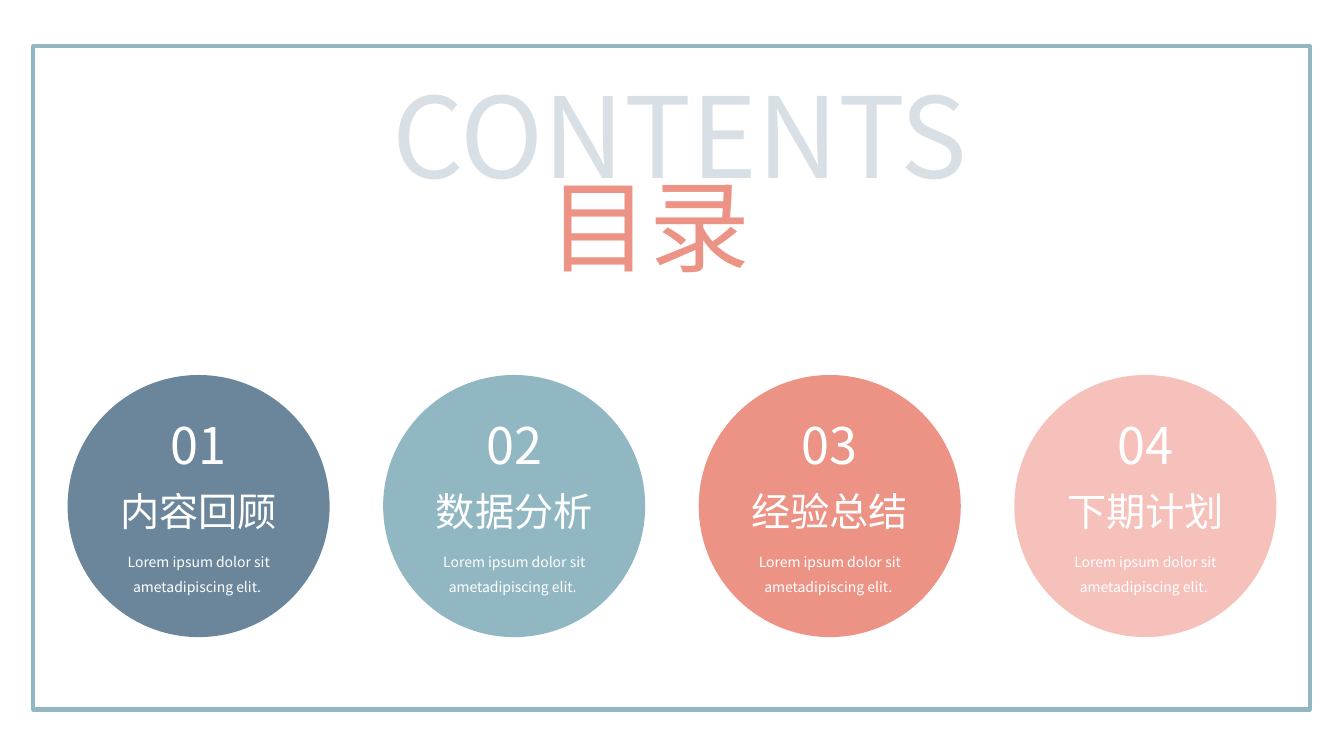
from dataclasses import dataclass

from lxml.etree import SubElement
from pptx import Presentation
from pptx.dml.color import RGBColor
from pptx.enum.shapes import MSO_SHAPE as Preset
from pptx.enum.text import MSO_ANCHOR as Anchor, MSO_AUTO_SIZE as AutoSize, PP_ALIGN as Align
from pptx.oxml.ns import qn
from pptx.util import Inches, Pt

SLIDE_WIDTH, SLIDE_HEIGHT = Inches(13.33), Inches(7.5)
FONT = "Noto Sans CJK SC"

SLATE = RGBColor(0x6B, 0x86, 0x9B)
TEAL = RGBColor(0x91, 0xB7, 0xC2)
CORAL = RGBColor(0xEC, 0x93, 0x85)
BLUSH = RGBColor(0xF5, 0xC1, 0xBA)
WHITE = RGBColor(0xFF, 0xFF, 0xFF)


@dataclass(frozen=True)
class Area:
    """A rectangle in percent of the slide's width and height."""
    left: float
    top: float
    width: float
    height: float

    def place(self) -> tuple[int, int, int, int]:
        return (round(SLIDE_WIDTH * self.left / 100), round(SLIDE_HEIGHT * self.top / 100),
                round(SLIDE_WIDTH * self.width / 100), round(SLIDE_HEIGHT * self.height / 100))


@dataclass(frozen=True)
class Row:
    """A band that is centred in every column of the agenda."""
    top: float
    width: float
    height: float

    def area(self, center: float) -> Area:
        return Area(center - self.width / 2, self.top, self.width, self.height)


@dataclass(frozen=True)
class Section:
    name: str
    color: RGBColor


FRAME = Area(2.48, 6.13, 94.97, 87.73)
TITLE = Area(40.06, 20.93, 21.08, 17.47)
BACKDROP = Area(25.58, 8.13, 50.04, 19.33)

FIRST_CENTER, COLUMN_PITCH = 14.78, 23.48
CIRCLE_ROW = Row(49.6, 19.5, 34.67)
NUMBER_ROW = Row(54.13, 6, 9.47)
NAME_ROW = Row(63.87, 14.78, 7.6)
DETAIL_ROW = Row(71.47, 17.63, 8)

DETAIL = "Lorem ipsum dolor sit ametadipiscing elit. "
SECTIONS = [
    Section("内容回顾", SLATE),
    Section("数据分析", TEAL),
    Section("经验总结", CORAL),
    Section("下期计划", BLUSH),
]


def write(box, text: str, *, size: float, color: RGBColor = WHITE, align=Align.CENTER,
          spacing: float = 1.0, opacity: int = 100) -> None:
    frame = box.text_frame
    frame.word_wrap = True
    frame.auto_size = AutoSize.SHAPE_TO_FIT_TEXT
    frame.vertical_anchor = Anchor.TOP
    para = frame.paragraphs[0]
    para.alignment = align
    para.line_spacing = spacing
    span = para.add_run()
    span.text = text
    span.font.size = Pt(size)
    span.font.name = FONT
    span.font.color.rgb = color
    properties = span.font._element
    SubElement(properties, qn("a:ea")).set("typeface", FONT)
    if opacity < 100:
        tint = properties.find(f"{qn('a:solidFill')}/{qn('a:srgbClr')}")
        SubElement(tint, qn("a:alpha")).set("val", str(opacity * 1000))


def add_text(page, area: Area, text: str, **style) -> None:
    write(page.shapes.add_textbox(*area.place()), text, **style)


def add_frame(page) -> None:
    border = page.shapes.add_shape(Preset.RECTANGLE, *FRAME.place())
    border.shadow.inherit = False
    border.fill.background()
    border.line.color.rgb = TEAL
    border.line.width = Pt(3)


def add_heading(page) -> None:
    title = page.shapes.title
    title.left, title.top, title.width, title.height = TITLE.place()
    write(title, "目录", size=72, color=CORAL, align=Align.JUSTIFY)
    add_text(page, BACKDROP, "CONTENTS", size=80, color=SLATE, opacity=26)


def add_section(page, index: int, section: Section) -> None:
    center = FIRST_CENTER + index * COLUMN_PITCH
    circle = page.shapes.add_shape(Preset.OVAL, *CIRCLE_ROW.area(center).place())
    circle.shadow.inherit = False
    circle.fill.solid()
    circle.fill.fore_color.rgb = section.color
    circle.line.fill.background()
    add_text(page, NAME_ROW.area(center), section.name, size=28)
    add_text(page, DETAIL_ROW.area(center), DETAIL, size=10, spacing=1.5)
    add_text(page, NUMBER_ROW.area(center), f"{index + 1:02}", size=36)


def main() -> None:
    deck = Presentation()
    deck.slide_width, deck.slide_height = SLIDE_WIDTH, SLIDE_HEIGHT
    page = deck.slides.add_slide(deck.slide_layouts.get_by_name("Title Only"))

    # Border and heading
    add_frame(page)
    add_heading(page)

    # Agenda circles
    for index, section in enumerate(SECTIONS):
        add_section(page, index, section)

    deck.save("out.pptx")


if __name__ == "__main__":
    main()
